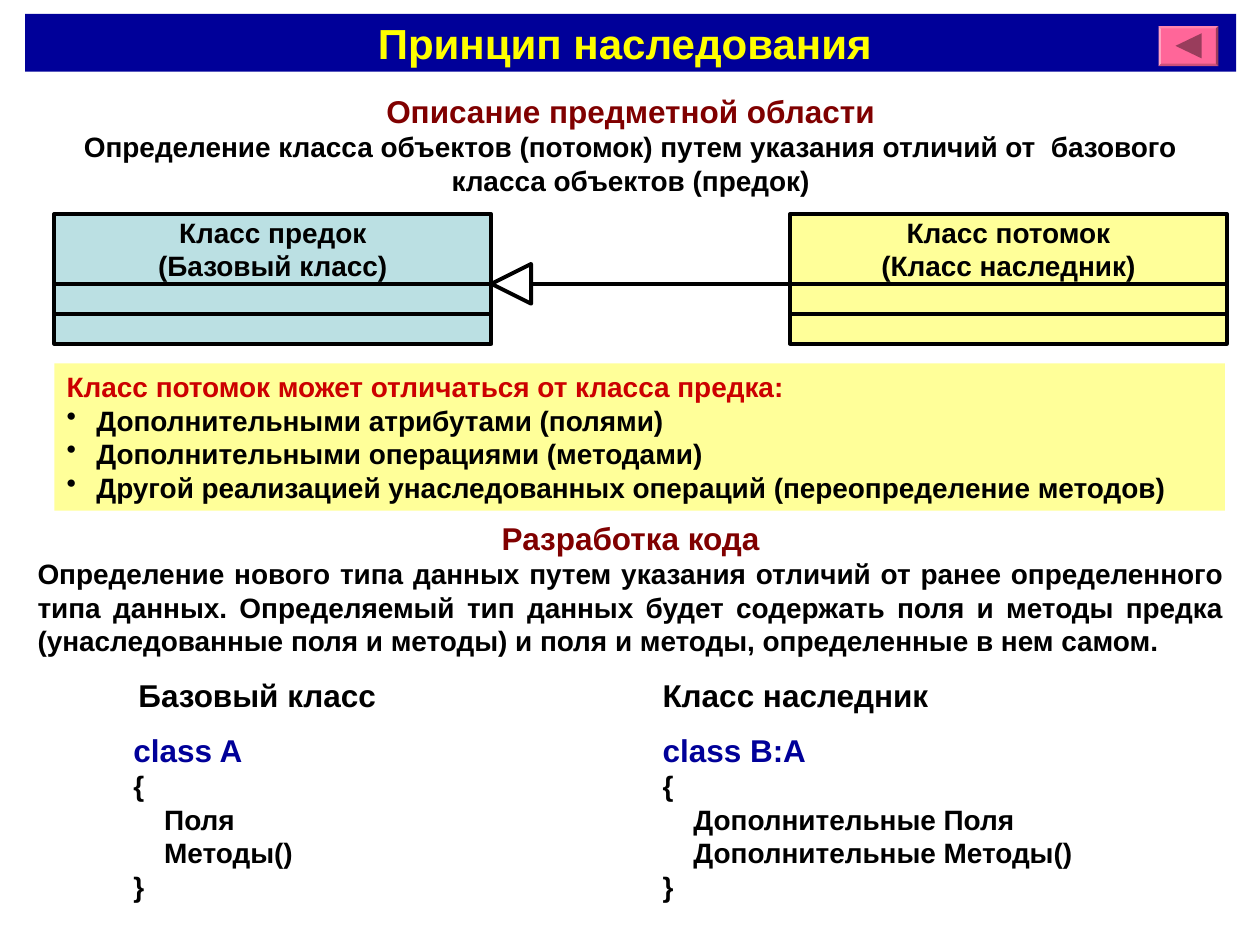
from lxml import etree
from pptx import Presentation
from pptx.dml.color import RGBColor
from pptx.enum import shapes, text
from pptx.oxml import ns
from pptx.util import Pt

NAVY = RGBColor(0x00, 0x00, 0x99)
YELLOW = RGBColor(0xFF, 0xFF, 0x00)
PALE_YELLOW = RGBColor(0xFF, 0xFF, 0x99)
PALE_BLUE = RGBColor(0xBB, 0xE0, 0xE3)
PINK = RGBColor(0xFF, 0x66, 0x99)
PLUM = RGBColor(0x99, 0x3D, 0x5C)
MAROON = RGBColor(0x80, 0x00, 0x00)
RED = RGBColor(0xCC, 0x00, 0x00)
BLACK = RGBColor(0x00, 0x00, 0x00)

FONT = "Arial"
BODY, HEADING, TITLE = 16, 18, 24
LINE_WIDTH = 2.25
LEFT, CENTER, JUSTIFY = (text.PP_ALIGN.LEFT, text.PP_ALIGN.CENTER,
                         text.PP_ALIGN.JUSTIFY)
SHAPE = shapes.MSO_SHAPE

# Boxes are (left, top, width, height) in points
TITLE_BAR = (14.4, 7.9, 692, 33.1)
BACK_BUTTON = (662, 14.9, 34.2, 22.9)
BACK_ARROW = (672, 18.7, 14.4, 15)

SECTIONS = [
    ((14.4, 49, 692, 67.7), "Описание предметной области",
     "Определение класса объектов (потомок) путем указания отличий от  "
     "базового класса объектов (предок)", CENTER),
    ((14.4, 293, 692, 86.4), "Разработка кода",
     "Определение нового типа данных путем указания отличий от ранее "
     "определенного типа данных. Определяемый тип данных будет содержать "
     "поля и методы предка (унаследованные поля и методы) и поля и методы, "
     "определенные в нем самом.", JUSTIFY),
]

CLASS_WIDTH, CLASS_TOP = 249.8, 122.4
CLASS_ROWS = [39.8, 17.1, 17.1]  # name, fields, methods
CLASSES = [
    (31, PALE_BLUE, ["Класс предок", "(Базовый класс)"]),
    (451.4, PALE_YELLOW, ["Класс потомок", "(Класс наследник)"]),
]
ARROW_SIZE = 22.7

DIFFERENCES_BOX = (31, 207.6, 669, 84.2)
DIFFERENCES_HEADING = "Класс потомок может отличаться от класса предка:"
DIFFERENCES = [
    "Дополнительными атрибутами (полями)",
    "Дополнительными операциями (методами)",
    "Другой реализацией унаследованных операций (переопределение методов)",
]

CAPTION_TOP, CODE_TOP, CODE_HEIGHT = 383, 414, 106
CODE_COLUMNS = [
    (72, 69.1, 150, "Базовый класс", "сlass A",
     ["{", "    Поля", "    Методы()", "}"]),
    (371.5, 371.5, 300, "Класс наследник", "сlass B:A",
     ["{", "    Дополнительные Поля", "    Дополнительные Методы()", "}"]),
]


def add_block(slide, box, fill=None, line=None, kind=SHAPE.RECTANGLE):
    block = slide.shapes.add_shape(kind, *map(Pt, box))
    block.shadow.inherit = False
    if fill is None:
        block.fill.background()
    else:
        block.fill.solid()
        block.fill.fore_color.rgb = fill
    if line is None:
        block.line.fill.background()
    else:
        block.line.color.rgb = line
        block.line.width = Pt(LINE_WIDTH)
    return block


def write(block, content, size=BODY, color=BLACK, align=LEFT, bullet=False,
          anchor=text.MSO_ANCHOR.TOP):
    """Append one paragraph to a shape's text."""
    frame = block.text_frame
    frame.word_wrap = True
    frame.vertical_anchor = anchor
    paragraph = frame.add_paragraph() if frame.text else frame.paragraphs[0]
    paragraph.alignment = align
    paragraph.line_spacing = Pt(size * 1.2)
    if bullet:
        properties = paragraph._p.get_or_add_pPr()
        properties.set("marL", str(Pt(17)))
        properties.set("indent", str(-Pt(17)))
        etree.SubElement(properties, ns.qn("a:buChar")).set("char", "•")
    run = paragraph.add_run()
    run.text = content
    run.font.name = FONT
    run.font.size = Pt(size)
    run.font.bold = True
    run.font.color.rgb = color


def add_text(slide, box):
    return slide.shapes.add_textbox(*map(Pt, box))


def add_class(slide, left, fill, name_lines):
    """Draw a class as three stacked compartments."""
    top = CLASS_TOP
    for row, height in enumerate(CLASS_ROWS):
        compartment = add_block(slide, (left, top, CLASS_WIDTH, height),
                                fill, BLACK)
        if row == 0:
            for name in name_lines:
                write(compartment, name, align=CENTER,
                      anchor=text.MSO_ANCHOR.MIDDLE)
        top += height


def add_inheritance(slide):
    """Join the descendant to its base class with a hollow arrow."""
    tip, end = CLASSES[0][0] + CLASS_WIDTH, CLASSES[1][0]
    middle = CLASS_TOP + CLASS_ROWS[0]
    arrow = add_block(slide, (tip, middle - ARROW_SIZE / 2, ARROW_SIZE,
                              ARROW_SIZE), None, BLACK,
                      SHAPE.ISOSCELES_TRIANGLE)
    arrow.rotation = 270
    link = slide.shapes.add_connector(
        shapes.MSO_CONNECTOR.STRAIGHT,
        *map(Pt, (tip + ARROW_SIZE, middle, end, middle)))
    link.line.color.rgb = BLACK
    link.line.width = Pt(LINE_WIDTH)
    etree.SubElement(link._element.spPr, ns.qn("a:effectLst"))


def main():
    deck = Presentation()
    deck.slide_width, deck.slide_height = Pt(720), Pt(540)
    slide = deck.slides.add_slide(deck.slide_layouts[6])

    title = add_block(slide, TITLE_BAR, NAVY)
    write(title, "Принцип наследования ", size=TITLE, color=YELLOW,
          align=CENTER, anchor=text.MSO_ANCHOR.MIDDLE)
    button = add_block(slide, BACK_BUTTON, PINK, kind=SHAPE.BEVEL)
    button.adjustments[0] = 0.06
    back = add_block(slide, BACK_ARROW, PLUM, kind=SHAPE.ISOSCELES_TRIANGLE)
    back.rotation = 270

    for box, heading, body, align in SECTIONS:
        section = add_text(slide, box)
        write(section, heading, size=HEADING, color=MAROON, align=CENTER)
        write(section, body, align=align)

    for left, fill, name_lines in CLASSES:
        add_class(slide, left, fill, name_lines)
    add_inheritance(slide)

    differences = add_block(slide, DIFFERENCES_BOX, PALE_YELLOW)
    write(differences, DIFFERENCES_HEADING, color=RED)
    for difference in DIFFERENCES:
        write(differences, difference, bullet=True)

    for caption_left, code_left, width, caption, header, body in CODE_COLUMNS:
        write(add_text(slide, (caption_left, CAPTION_TOP, 170, 28.8)),
              caption, size=HEADING)
        code = add_text(slide, (code_left, CODE_TOP, width, CODE_HEIGHT))
        write(code, header, size=HEADING, color=NAVY)
        for code_line in body:
            write(code, code_line)

    deck.save("out.pptx")


if __name__ == "__main__":
    main()
